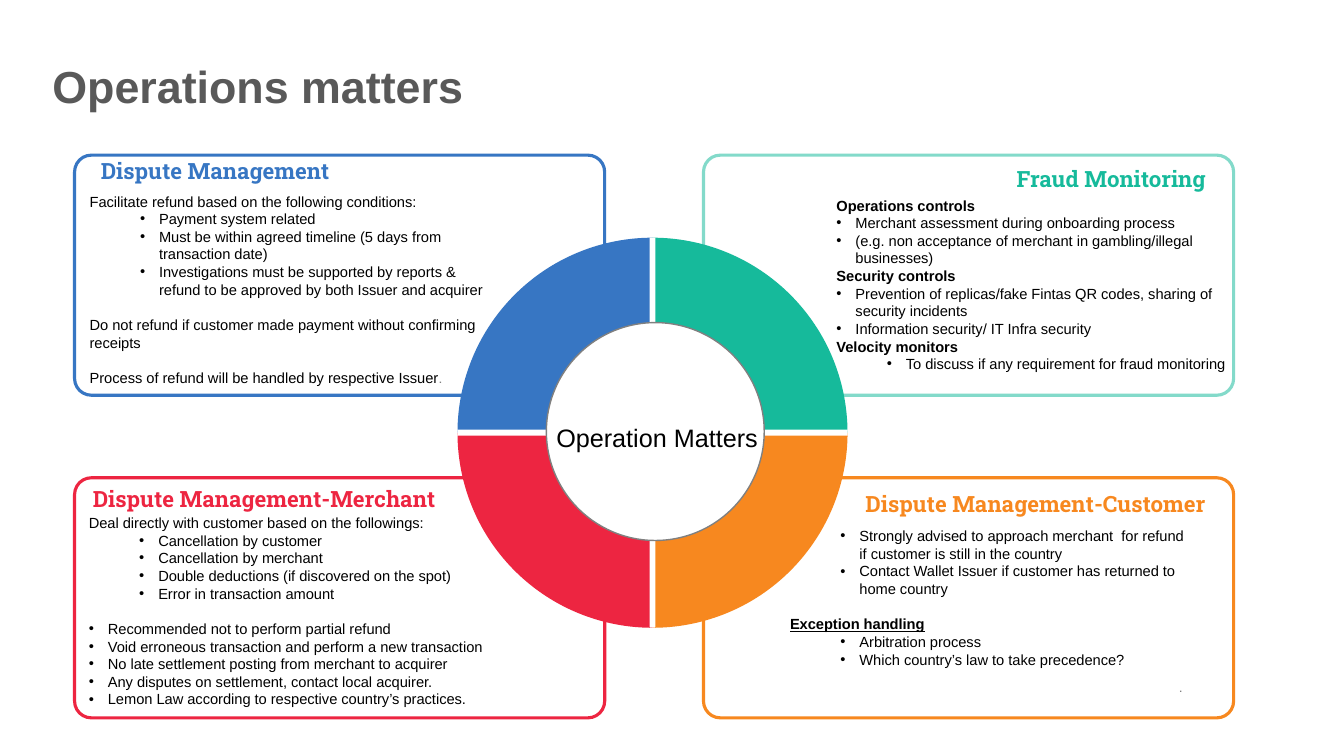
"""Build the operations matters slide: four panels around a ring."""
from lxml import etree
from pptx import Presentation
from pptx import util as u
from pptx.dml.color import RGBColor
from pptx.enum import shapes, text
from pptx.oxml import ns

BLUE, GREEN, RED, ORANGE = "3776C3", "16BA9B", "ED2541", "F7881F"
WHITE, BLACK, GREY, DARK = "FFFFFF", "000000", "808080", "595959"
KIND = shapes.MSO_SHAPE
RIGHT = text.PP_ALIGN.RIGHT
BODY, SLAB = "Arial", "Roboto Slab"


def tint(code):
    """Turn a hex string into a colour."""
    return RGBColor.from_string(code)


def node(home, tag, **attrs):
    """Append a drawing element to a parent."""
    item = etree.SubElement(home, ns.qn(tag))
    for key, val in attrs.items():
        item.set(key, str(val))
    return item


def write(para, words, size=10.5, font=BODY, color=BLACK, bold=False, line=False):
    """Add a formatted run to a paragraph."""
    run = para.add_run()
    run.text = words
    face = run.font
    face.size, face.name = u.Pt(size), font
    face.bold, face.underline = bold, line
    face.color.rgb = tint(color)


def plain(words, **form):
    """Describe a line of body text."""
    return dict(words=words, **form)


def dot(words, **form):
    """Describe a bullet at the margin."""
    return dict(words=words, mark=0.48, **form)


def sub(words, **form):
    """Describe an indented bullet."""
    return dict(words=words, mark=1.75, **form)


class Deck:
    """Hold the style and the current slide."""

    def __init__(self):
        self.show = Presentation()
        self.show.slide_width, self.show.slide_height = u.Cm(33.87), u.Cm(19.05)
        self.slide = self.show.slides.add_slide(self.show.slide_layouts[6])
        self.home = self.slide.shapes

    def shape(self, kind, x, y, w, h, fill=None, line=None, width=1, adj=(), alpha=None):
        """Draw a preset shape."""
        item = self.home.add_shape(kind, u.Cm(x), u.Cm(y), u.Cm(w), u.Cm(h))
        item.shadow.inherit = False
        for i, val in enumerate(adj):
            item.adjustments[i] = val
        if fill:
            item.fill.solid()
            item.fill.fore_color.rgb = tint(fill)
        else:
            item.fill.background()
        if line:
            item.line.color.rgb = tint(line)
            item.line.width = u.Pt(width)
            if alpha:
                code = item.line._ln.find(".//" + ns.qn("a:srgbClr"))
                node(code, "a:alpha", val=alpha * 1000)
        else:
            item.line.fill.background()
        return item

    def panel(self, x, y, color, fill=WHITE, alpha=None):
        """Draw a rounded panel."""
        self.shape(KIND.ROUNDED_RECTANGLE, x, y, 13.36, 6.05, fill, color, 2.25, [0.07], alpha)

    def frame(self, x, y, w, h, pad=0):
        """Add a wrapping text box and return its text frame."""
        box = self.home.add_textbox(u.Cm(x), u.Cm(y), u.Cm(w), u.Cm(h)).text_frame
        box.word_wrap = True
        box.margin_left = box.margin_right = u.Cm(pad)
        box.margin_top = box.margin_bottom = u.Cm(pad / 2)
        return box

    def label(self, words, x, y, w, h, pad=0, align=None, **form):
        """Add a single line of text."""
        box = self.frame(x, y, w, h, pad)
        para = box.paragraphs[0]
        para.alignment = align
        write(para, words, **form)
        return box

    def head(self, words, x, y, color, align=None):
        """Add a panel heading."""
        self.label(words, x, y, 9.02, 0.69, align=align,
                   size=16, font=SLAB, color=color, bold=True)

    def notes(self, x, y, w, h, lines):
        """Add body text with bullets."""
        box = self.frame(x, y, w, h)
        for i, line in enumerate(lines):
            para = box.add_paragraph() if i else box.paragraphs[0]
            form = dict(line)
            mark, gap = form.pop("mark", 0), form.pop("gap", 0)
            stop, align = form.pop("stop", ""), form.pop("align", None)
            para.alignment = align
            para.space_before = u.Pt(gap)
            write(para, **form)
            if stop:
                write(para, stop, size=10, font=SLAB, color=GREY)
            if mark:
                prop = para._p.get_or_add_pPr()
                prop.set("marL", str(u.Cm(mark)))
                prop.set("indent", str(u.Cm(-0.48)))
                node(prop, "a:buFont", typeface=BODY)
                node(prop, "a:buChar", char="•")

    def ring(self, x, y, size):
        """Draw the four-part ring with its hole."""
        self.home = self.slide.shapes.add_group_shape().shapes
        for i, color in enumerate([ORANGE, RED, BLUE, GREEN]):
            self.shape(KIND.PIE, x, y, size, size, color, adj=[i * 54, (i + 1) % 4 * 54])
        mid = (size - 0.15) / 2
        self.shape(KIND.RECTANGLE, x + mid, y, 0.15, size, WHITE)
        self.shape(KIND.RECTANGLE, x, y + mid, size, 0.15, WHITE)
        self.shape(KIND.OVAL, 13.77, 8.13, 5.49, 5.49, WHITE, GREY)
        self.home = self.slide.shapes


def main():
    """Compose and save the slide."""
    deck = Deck()
    title = deck.label("Operations matters", 1.07, 1.47, 30.48, 1.57, pad=0.25,
                       size=32, color=DARK, bold=True)
    title.vertical_anchor = text.MSO_ANCHOR.MIDDLE
    title.paragraphs[0].line_spacing = 0.9

    left, right, top, low = 1.88, 17.73, 3.91, 12.04
    deck.panel(left, low, RED)
    deck.panel(right, low, ORANGE)
    deck.panel(right, top, GREEN, fill=None, alpha=53)
    deck.panel(left, top, BLUE)
    deck.ring(11.53, 5.99, 9.83)

    deck.head("Dispute Management", 2.54, 3.96, BLUE)
    deck.head("Fraud Monitoring", 21.36, 4.17, GREEN, RIGHT)
    deck.head("Dispute Management-Merchant", 2.34, 12.22, RED)
    deck.head("Dispute Management-Customer", 21.36, 12.34, ORANGE, RIGHT)

    blank = 12.7
    deck.notes(2.26, 4.85, 10.31, 4.93, [
        plain("Facilitate refund based on the following conditions:"),
        sub("Payment system related"),
        sub("Must be within agreed timeline (5 days from transaction date)"),
        sub("Investigations must be supported by reports & refund to be approved "
            "by both Issuer and acquirer"),
        plain("Do not refund if customer made payment without confirming receipts", gap=blank),
        plain("Process of refund will be handled by respective Issuer", gap=blank, stop="."),
    ])
    deck.notes(21.08, 4.95, 10.01, 4.5, [
        plain("Operations controls", bold=True),
        dot("Merchant assessment during onboarding process"),
        dot("(e.g. non acceptance of merchant in gambling/illegal businesses)"),
        plain("Security controls", bold=True),
        dot("Prevention of replicas/fake Fintas QR codes, sharing of security incidents"),
        dot("Information security/ IT Infra security"),
        plain("Velocity monitors", bold=True),
        sub("To discuss if any requirement for fraud monitoring"),
    ])
    deck.notes(2.24, 12.95, 11.1, 4.93, [
        plain("Deal directly with customer based on the followings:"),
        sub("Cancellation by customer"),
        sub("Cancellation by merchant"),
        sub("Double deductions (if discovered on the spot)"),
        sub("Error in transaction amount"),
        dot("Recommended not to perform partial refund", gap=blank),
        dot("Void erroneous transaction and perform a new transaction"),
        dot("No late settlement posting from merchant to acquirer"),
        dot("Any disputes on settlement, contact local acquirer."),
        dot("Lemon Law according to respective country’s practices."),
    ])
    deck.notes(19.91, 13.28, 9.98, 4.29, [
        sub("Strongly advised to approach merchant  for refund if customer is still in the country"),
        sub("Contact Wallet Issuer if customer has returned to home country"),
        plain("Exception handling", gap=blank, bold=True, line=True),
        sub("Arbitration process"),
        sub("Which country’s law to take precedence?"),
        plain(". ", gap=7.5, align=RIGHT, size=10, font=SLAB, color=GREY),
    ])
    deck.label("Operation Matters", 13.77, 10.52, 6.15, 1.02, pad=0.25, size=18)
    deck.show.save("out.pptx")


if __name__ == "__main__":
    main()
